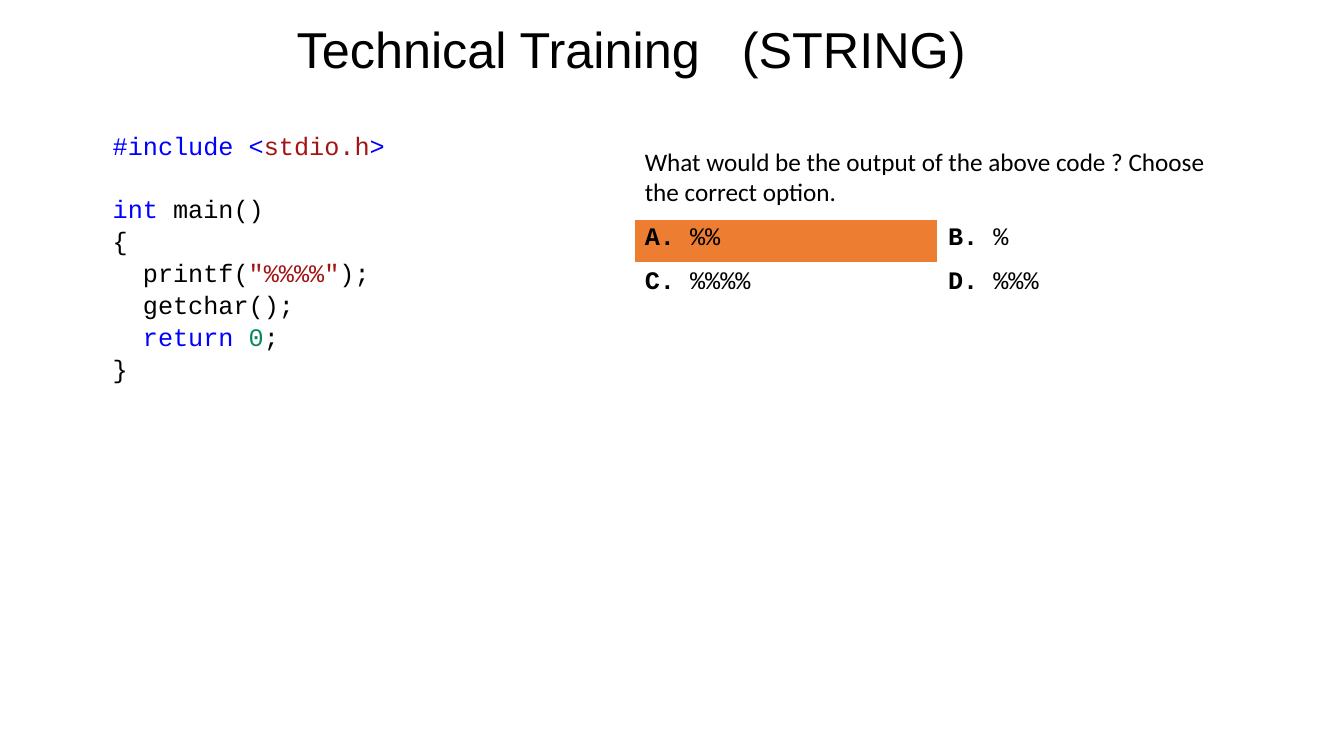
from pptx import Presentation
from pptx.dml.color import RGBColor
from pptx.enum.text import PP_ALIGN
from pptx.util import Inches, Pt

LEFT, CENTER = PP_ALIGN.LEFT, PP_ALIGN.CENTER
COLORS = {"text": "000000", "keyword": "0000FF", "string": "A31515",
          "number": "09885A", "answer": "ED7D31"}
CODE_FONT = "Courier New"


def add_run(p, text, font=CODE_FONT, size=18, color="text", bold=False, spacing=0):
    r = p.add_run()
    r.text = text
    r.font.name, r.font.size, r.font.bold = font, Pt(size), bold
    r.font.color.rgb = RGBColor.from_string(COLORS[color])
    if spacing:
        r.font.language_id = None
        r._r.get_or_add_rPr().set("spc", str(spacing * 100))


class SlideBuilder:
    def __init__(self, prs):
        self.slide = prs.slides.add_slide(prs.slide_layouts[6])

    def text_box(self, x, y, w, h):
        sp = self.slide.shapes.add_textbox(Inches(x), Inches(y), Inches(w), Inches(h))
        sp.text_frame.word_wrap = True
        return sp.text_frame

    def title(self, words, gap, x, y, w, h):
        p = self.text_box(x, y, w, h).paragraphs[0]
        p.alignment = CENTER
        first, last = words
        for text, spacing in ((first, 0), (" ", gap), (last, 0)):
            add_run(p, text, font="Arial", size=36, spacing=spacing)

    def code(self, lines, x, y, w, h):
        tf = self.text_box(x, y, w, h)
        for i, (space_before, runs) in enumerate(lines):
            p = tf.add_paragraph() if i else tf.paragraphs[0]
            p.alignment, p.line_spacing = LEFT, 1.06
            if space_before:
                p.space_before = Pt(space_before)
            for text, color in runs:
                add_run(p, text, color=color)

    def quiz(self, question, options, answer, x, y, col_w, heights):
        rows, cols = len(heights), 2
        table = self.slide.shapes.add_table(
            rows, cols, Inches(x), Inches(y),
            Inches(cols * col_w), Inches(sum(heights))).table
        table.first_row = table.horz_banding = False
        for row, height in zip(table.rows, heights):
            row.height = Inches(height)
        for cell in table.iter_cells():
            cell.fill.background()
        table.cell(0, 0).merge(table.cell(0, cols - 1))
        add_run(table.cell(0, 0).text_frame.paragraphs[0], question, font="Calibri")
        for i, (letter, text) in enumerate(options):
            cell = table.cell(1 + i // cols, i % cols)
            p = cell.text_frame.paragraphs[0]
            add_run(p, letter + ".", bold=True)
            add_run(p, " " + text)
            if letter == answer:
                cell.fill.solid()
                cell.fill.fore_color.rgb = RGBColor.from_string(COLORS["answer"])


def main():
    prs = Presentation()
    prs.slide_width, prs.slide_height = Inches(13.34), Inches(7.5)
    s = SlideBuilder(prs)

    # Question and options
    s.quiz("What would be the output of the above code ? Choose the correct option.",
           [("A", "%%"), ("B", "%"), ("C", "%%%%"), ("D", "%%%")],
           "A", 6.3, 1.41, 3.01, [0.77, 0.43, 0.43])

    # Heading
    s.title(("Technical Training", "(STRING)"), 20, 2.29, 0.13, 7.95, 0.7)

    # Code: space before each line, then its coloured runs
    s.code([
        (0, [("#include <", "keyword"), ("stdio.h", "string"), (">", "keyword")]),
        (22, [("int", "keyword"), (" main()", "text")]),
        (0, [("{", "text")]),
        (0, [("  printf(", "text"), ('"%%%%"', "string"), (");", "text")]),
        (0, [("  getchar();", "text")]),
        (0, [("  return ", "keyword"), ("0", "number"), (";", "text")]),
        (0, [("}", "text")]),
    ], 1.02, 1.23, 5.41, 2.8)

    prs.save("out.pptx")


if __name__ == "__main__":
    main()
